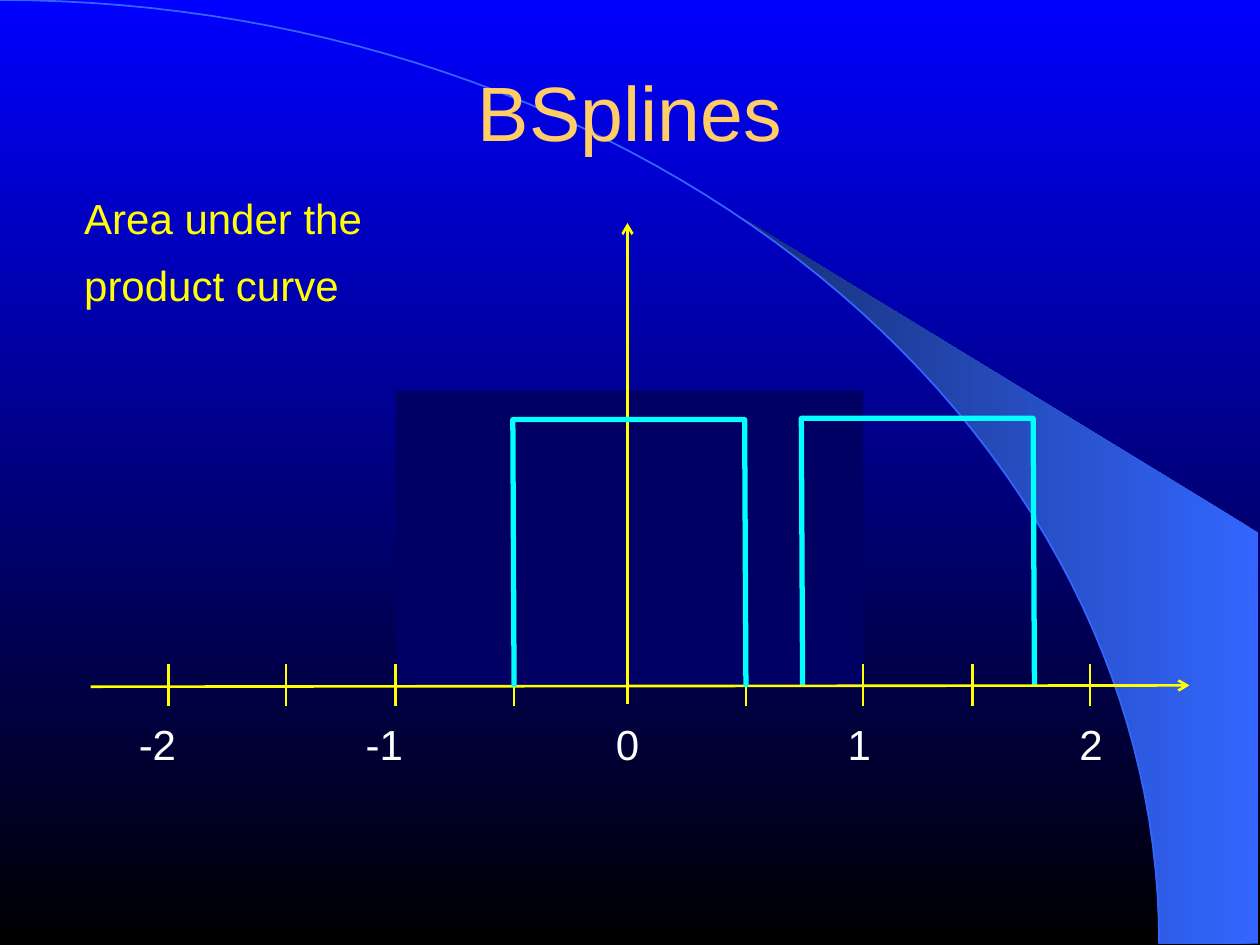
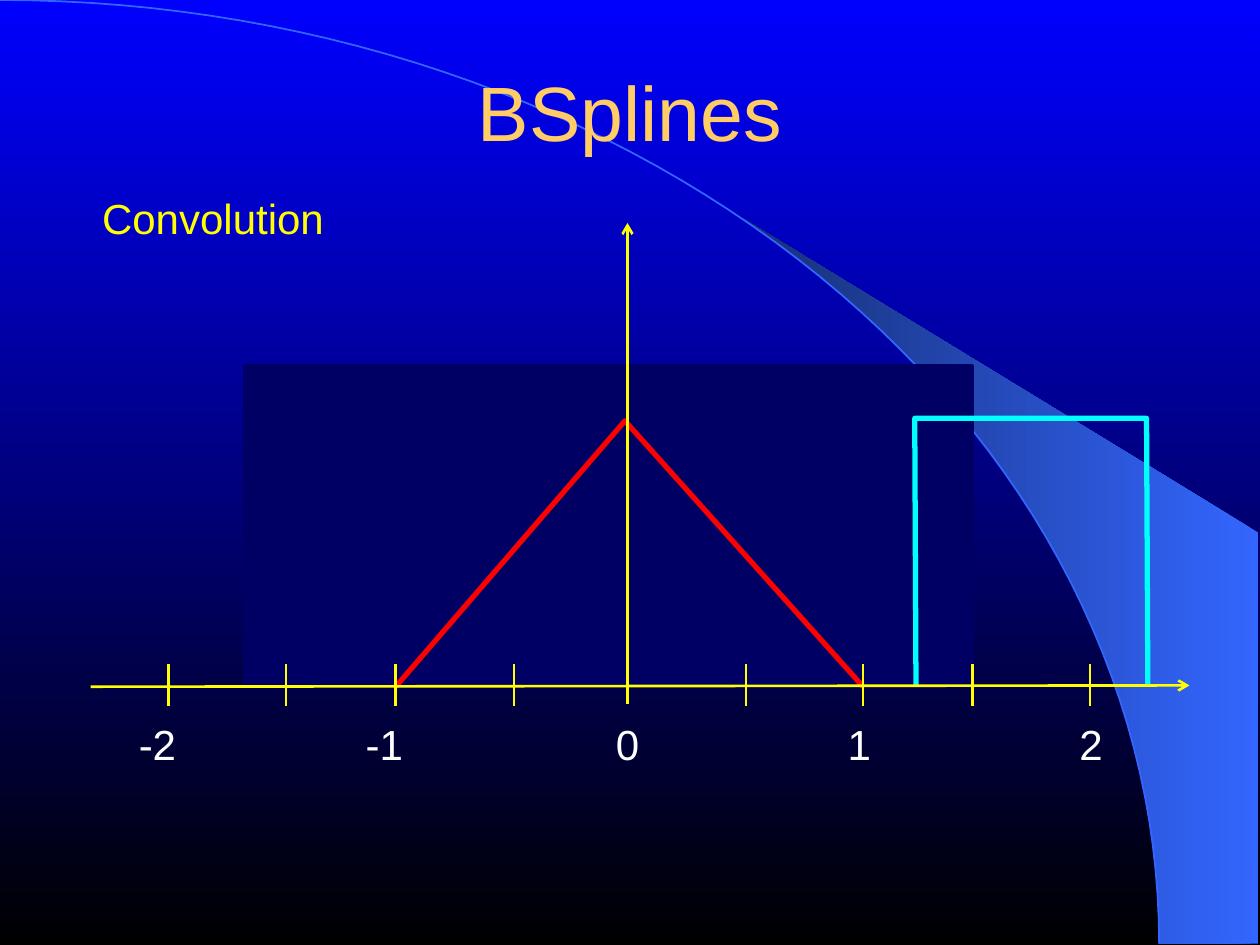
"""Build two slides on B-splines: pulses and convolution over a number axis."""
from math import acos, cos, pi, sin

from lxml import etree
from pptx import Presentation
from pptx.dml.color import RGBColor
from pptx.enum.shapes import MSO_CONNECTOR, MSO_SHAPE
from pptx.enum.text import MSO_ANCHOR, PP_ALIGN
from pptx.oxml.ns import qn
from pptx.util import Inches, Pt

STRAIGHT = MSO_CONNECTOR.STRAIGHT
RECTANGLE = MSO_SHAPE.RECTANGLE
LEFT, CENTER = PP_ALIGN.LEFT, PP_ALIGN.CENTER
TOP, MIDDLE = MSO_ANCHOR.TOP, MSO_ANCHOR.MIDDLE

FONT = "Arial"
BLUE, BLACK, NAVY = "0000FF", "000000", "000064"
SKY, DUSK = "3366FF", "172F75"
GOLD, YELLOW, WHITE = "FFCC66", "FFFF00", "FFFFFF"
CYAN, RED = "00FFFF", "FF0000"

TITLE = "BSplines"
TICKS = [1.34, 2.27, 3.14, 4.08, 5.92, 6.85, 7.72, 8.65]
TICK_SPAN = (5.6, 5.27)
AXES = [((0.72, 5.45), (9.44, 5.44)), ((4.98, 5.59), (4.98, 1.77))]
AXIS_LABELS = {"-2": 1.25, "-1": 3.05, "0": 4.98, "1": 6.82, "2": 8.66}
LABEL_TOP, LABEL_WIDTH, LABEL_HEIGHT = 5.73, 0.5, 0.42
PULSE_WIDTH, PULSE_HEIGHT, PULSE_LEAN = 1.84, 2.12, 0.01

ARC_WIDTH, ARC_HEIGHT, ARC_STEPS = 9.2, 7.49, 60
BAND_TIP = (5.89, 1.73)
BAND_RIGHT, BAND_SHOULDER = 9.99, 4.23


def pulse(left, top):
    """Return the corners of a unit pulse that leans slightly at its feet."""
    foot, right = top + PULSE_HEIGHT, left + PULSE_WIDTH
    return [(left + PULSE_LEAN, foot), (left, top), (right, top), (right + PULSE_LEAN, foot)]


SLIDES = [
    {
        "caption": ["Area under the", "product curve"],
        "caption_box": (0.57, 1.56, 2.74, 0.95),
        "caption_align": LEFT,
        "panel": (3.14, 3.1, 3.71, 2.35),
        "panel_line": None,
        "curves_behind_axes": [(pulse(6.36, 3.32), CYAN)],
        "curves_over_axes": [(pulse(4.07, 3.33), CYAN)],
    },
    {
        "caption": ["Convolution"],
        "caption_box": (0.57, 1.56, 2.24, 0.42),
        "caption_align": CENTER,
        "panel": (1.94, 2.9, 5.78, 2.55),
        "panel_line": NAVY,
        "curves_behind_axes": [
            (pulse(7.26, 3.32), CYAN),
            ([(3.14, 5.45), (4.96, 3.34), (6.85, 5.45)], RED),
        ],
        "curves_over_axes": [],
    },
]


def color(hex_string):
    """Turn a hex string into a colour."""
    return RGBColor.from_string(hex_string)


def set_gradient(fill, colors, angle):
    """Fill with a two-stop linear gradient."""
    fill.gradient()
    fill.gradient_angle = angle
    for stop, position, hex_string in zip(fill.gradient_stops, (0, 1), colors):
        stop.position = position
        stop.color.rgb = color(hex_string)


def set_line(line, hex_string, width):
    """Give a line its colour and width, or remove it."""
    if hex_string is None:
        line.fill.background()
    else:
        line.color.rgb = color(hex_string)
        line.width = Pt(width)


def add_outline(slide, points, close=False, line_color=None, width=1):
    """Draw an unfilled outline through points given in inches."""
    corners = [(Inches(x), Inches(y)) for x, y in points]
    builder = slide.shapes.build_freeform(*corners[0])
    builder.add_line_segments(corners[1:], close=close)
    shape = builder.convert_to_shape()
    shape.shadow.inherit = False
    shape.fill.background()
    set_line(shape.line, line_color, width)
    return shape


def add_line(slide, start, end, arrow=False):
    """Draw a yellow line, with an open arrowhead at its end if wanted."""
    connector = slide.shapes.add_connector(STRAIGHT, *map(Inches, start + end))
    set_line(connector.line, YELLOW, 1.5)
    properties = connector._element.spPr
    if arrow:
        outline = properties.find(qn("a:ln"))
        etree.SubElement(outline, qn("a:tailEnd"), type="arrow")
    etree.SubElement(properties, qn("a:effectLst"))


def add_text(slide, box, lines, size, hex_string, align=CENTER, anchor=TOP, wrap=True, spacing=0.8):
    """Add a text box with one paragraph for each line."""
    text_frame = slide.shapes.add_textbox(*map(Inches, box)).text_frame
    text_frame.word_wrap = wrap
    text_frame.vertical_anchor = anchor
    text_frame.text = "\n".join(lines)
    for index, paragraph in enumerate(text_frame.paragraphs):
        paragraph.alignment = align
        paragraph.line_spacing = spacing
        if index:
            paragraph.space_before = Pt(15)
        paragraph.font.name = FONT
        paragraph.font.size = Pt(size)
        paragraph.font.color.rgb = color(hex_string)


def arc_points(end_angle):
    """Return points on the arc from its foot up to an angle."""
    angles = [end_angle * step / ARC_STEPS for step in range(ARC_STEPS + 1)]
    return [(ARC_WIDTH * cos(angle), ARC_HEIGHT * (1 - sin(angle))) for angle in angles]


def add_backdrop(slide):
    """Draw the sweeping band and the arc along its edge."""
    edge = arc_points(acos(BAND_TIP[0] / ARC_WIDTH))
    corners = [BAND_TIP, (BAND_RIGHT, BAND_SHOULDER), (BAND_RIGHT, ARC_HEIGHT)]
    band = add_outline(slide, edge + corners, close=True)
    set_gradient(band.fill, (SKY, DUSK), 180)
    add_outline(slide, arc_points(pi / 2), line_color=SKY)


def add_panel(slide, box, line_color):
    """Draw the dark panel behind the curves."""
    panel = slide.shapes.add_shape(RECTANGLE, *map(Inches, box))
    panel.shadow.inherit = False
    panel.fill.solid()
    panel.fill.fore_color.rgb = color(NAVY)
    set_line(panel.line, line_color, 1.5)


def add_curves(slide, curves):
    """Draw each curve in its colour."""
    for points, hex_string in curves:
        add_outline(slide, points, line_color=hex_string, width=3)


def add_axes(slide):
    """Draw both axes, the ticks and the numbers."""
    for start, end in AXES:
        add_line(slide, start, end, arrow=True)
    for x in TICKS:
        add_line(slide, (x, TICK_SPAN[0]), (x, TICK_SPAN[1]))
    for label, middle in AXIS_LABELS.items():
        box = (middle - LABEL_WIDTH / 2, LABEL_TOP, LABEL_WIDTH, LABEL_HEIGHT)
        add_text(slide, box, [label], 24, WHITE, wrap=False)


def main():
    """Build and save the presentation."""
    presentation = Presentation()
    presentation.slide_width, presentation.slide_height = Inches(10), Inches(7.5)
    set_gradient(presentation.slide_master.background.fill, (BLUE, BLACK), 270)
    for content in SLIDES:
        slide = presentation.slides.add_slide(presentation.slide_layouts[6])
        add_backdrop(slide)
        add_panel(slide, content["panel"], content["panel_line"])
        add_curves(slide, content["curves_behind_axes"])
        add_text(slide, (0.75, 0.12, 8.5, 1.51), [TITLE], 44, GOLD, anchor=MIDDLE, spacing=1)
        add_axes(slide)
        add_curves(slide, content["curves_over_axes"])
        add_text(slide, content["caption_box"], content["caption"], 24, YELLOW, content["caption_align"])
    presentation.save("out.pptx")


if __name__ == "__main__":
    main()
